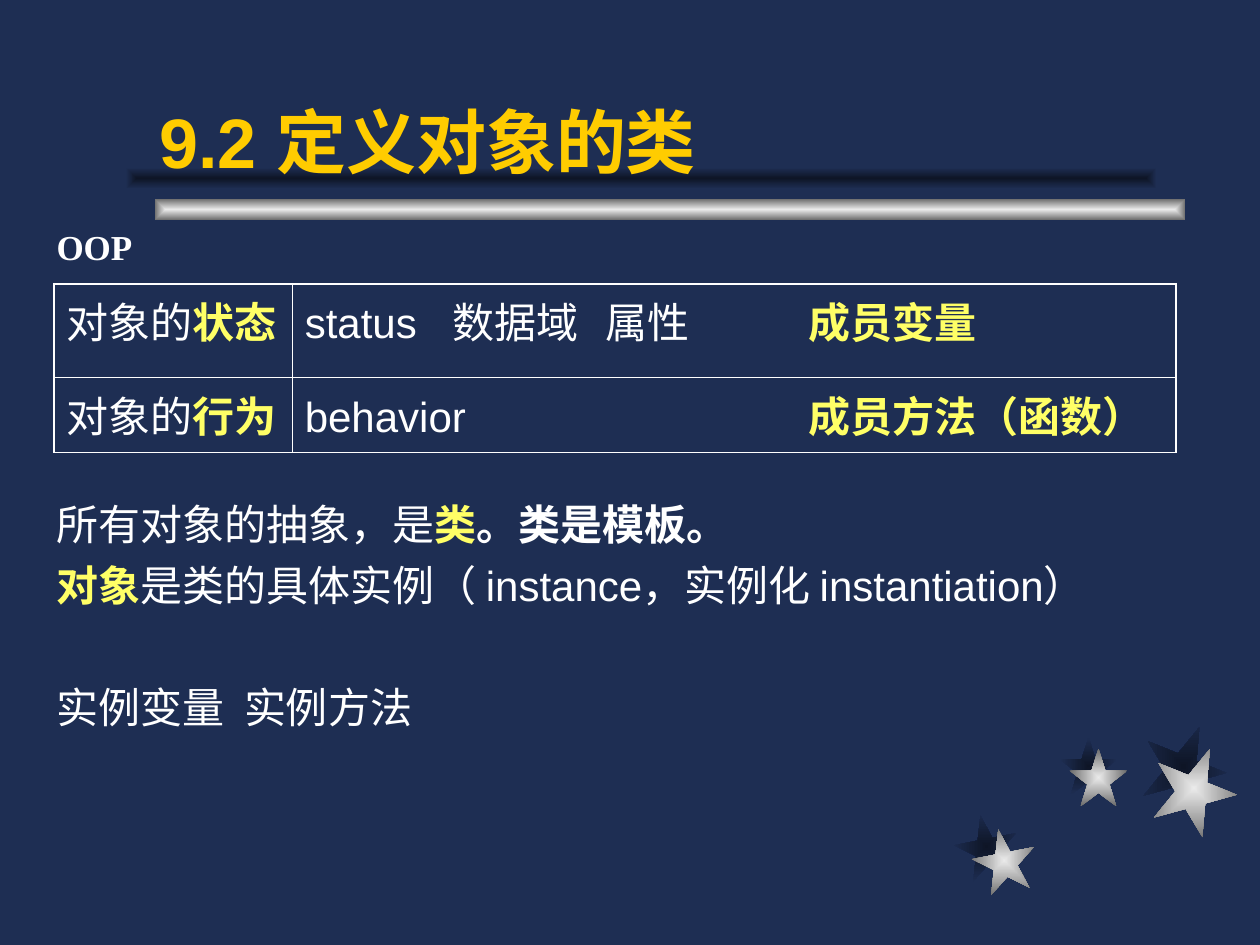
import pptx
import pptx.dml.color
import pptx.enum.shapes
import pptx.enum.text
import pptx.oxml
import pptx.oxml.ns
import pptx.util
from lxml import etree

Cm = pptx.util.Cm
Pt = pptx.util.Pt
SHAPE = pptx.enum.shapes.MSO_SHAPE
ANCHOR = pptx.enum.text.MSO_ANCHOR
qn = pptx.oxml.ns.qn

NAVY, WHITE, GOLD, YELLOW = "1E2E53", "FFFFFF", "FFCC00", "FFFF66"
SHADE = ("0E1526", NAVY)
SILVER = ("EAEAEA", "6C6C6C")

# left, top, size (cm), rotation
SHADOW_STARS = [(19.25, 16.43, 1.27, 349), (21.36, 14.86, 1.17, 0), (23.01, 14.6, 1.7, 22)]
SILVER_STARS = [(19.61, 16.71, 1.27, 349), (21.56, 15.09, 1.17, 0), (23.22, 15.04, 1.7, 22)]
BAR_W, BAR_H = 20.78, 0.43
BARS = [(3.12, 4.01, SILVER), (2.54, 3.38, SHADE)]

# A run is (text, colour, bold)
TITLE = [("9.2 定义对象的类", GOLD, True)]
LABEL = [("OOP", WHITE, True)]
BODY = [
    [("所有对象的抽象，是", WHITE, False), ("类", YELLOW, True), ("。类是模板。", WHITE, True)],
    [("对象", YELLOW, True),
     ("是类的具体实例（ instance，实例化 instantiation）", WHITE, False)],
    [("实例变量\t实例方法", WHITE, False)],
]
BODY_SPACE = [0, 6, 41]
BODY_TABS = [3.78]
ROWS = [
    [[("对象的", WHITE, False), ("状态", YELLOW, True)],
     [("status\t数据域\t属性\t", WHITE, False), ("成员变量", YELLOW, True)]],
    [[("对象的", WHITE, False), ("行为", YELLOW, True)],
     [("behavior\t\t", WHITE, False), ("成员方法（函数）", YELLOW, True)]],
]
CELL_TABS = [2.98, 6.07, 10.16]
COL_W = [4.8, 17.81]
ROW_H = [1.88, 1.52]
OUTER, INNER = 1.08, 0.45


def rgb(color):
    return pptx.dml.color.RGBColor.from_string(color)


def add_glow_shape(shapes, kind, box, colors, rotation=0):
    """Add a borderless shape shaded from its centre to its edge."""
    sp = shapes.add_shape(kind, *map(Cm, box))
    sp.shadow.inherit = False
    sp.rotation = rotation
    sp.line.fill.background()
    sp.fill.gradient()
    for stop, color in zip(sp.fill.gradient_stops, colors):
        stop.color.rgb = rgb(color)
    grad = sp._element.spPr.find(qn("a:gradFill"))
    grad.remove(grad.find(qn("a:lin")))
    centre = etree.SubElement(grad, qn("a:path"))
    centre.set("path", "rect")
    rect = etree.SubElement(centre, qn("a:fillToRect"))
    for side in "ltrb":
        rect.set(side, "50000")


def fill_paragraph(p, runs, size, font="Arial", tabs=(), space=0):
    if tabs:
        tab_list = etree.SubElement(p._p.get_or_add_pPr(), qn("a:tabLst"))
        for pos in tabs:
            tab = etree.SubElement(tab_list, qn("a:tab"))
            tab.set("pos", str(int(Cm(pos))))
            tab.set("algn", "l")
    if space:
        p.space_before = Pt(space)
    for text, color, bold in runs:
        r = p.add_run()
        r.text = text
        r.font.size = Pt(size)
        r.font.name = font
        r.font.bold = bold
        r.font.color.rgb = rgb(color)


def add_text_frame(shapes, box, anchor=ANCHOR.TOP):
    tf = shapes.add_textbox(*map(Cm, box)).text_frame
    tf.word_wrap = True
    tf.vertical_anchor = anchor
    return tf


def set_borders(cell, widths):
    """Draw white cell borders; widths maps lnL, lnR, lnT, lnB to points."""
    props = cell._tc.get_or_add_tcPr()
    for i, (side, width) in enumerate(widths.items()):
        ln = etree.Element(qn("a:" + side))
        ln.set("w", str(int(Pt(width))))
        fill = etree.SubElement(ln, qn("a:solidFill"))
        etree.SubElement(fill, qn("a:srgbClr")).set("val", WHITE)
        props.insert(i, ln)


def add_concept_table(shapes):
    table = shapes.add_table(len(ROWS), len(COL_W), Cm(1.09), Cm(5.72),
                             Cm(sum(COL_W)), Cm(sum(ROW_H))).table
    table.first_row = table.horz_banding = False
    for col, width in zip(table.columns, COL_W):
        col.width = Cm(width)
    for row, height in zip(table.rows, ROW_H):
        row.height = Cm(height)
    last_r, last_c = len(ROWS) - 1, len(COL_W) - 1
    for i, row in enumerate(ROWS):
        for j, runs in enumerate(row):
            cell = table.cell(i, j)
            cell.fill.background()
            cell.margin_top = cell.margin_bottom = Cm(0.13)
            fill_paragraph(cell.text_frame.paragraphs[0], runs, 24,
                           tabs=CELL_TABS if j else ())
            set_borders(cell, {
                "lnL": INNER if j else OUTER,
                "lnR": INNER if j < last_c else OUTER,
                "lnT": INNER if i else OUTER,
                "lnB": INNER if i < last_r else OUTER,
            })


def main():
    prs = pptx.Presentation()
    prs.slide_width, prs.slide_height = Cm(25.4), Cm(19.05)
    s = prs.slides.add_slide(prs.slide_layouts[6])
    s.background.fill.solid()
    s.background.fill.fore_color.rgb = rgb(NAVY)
    shapes = s.shapes

    for stars, colors in ((SHADOW_STARS, SHADE), (SILVER_STARS, SILVER)):
        for left, top, size, rotation in stars:
            add_glow_shape(shapes, SHAPE.STAR_5_POINT, (left, top, size, size),
                           colors, rotation)
    for left, top, colors in BARS:
        add_glow_shape(shapes, SHAPE.RECTANGLE, (left, top, BAR_W, BAR_H), colors)

    tf = add_text_frame(shapes, (0.89, 9.93, 23.9, 5.61))
    for i, (runs, space) in enumerate(zip(BODY, BODY_SPACE)):
        p = tf.add_paragraph() if i else tf.paragraphs[0]
        fill_paragraph(p, runs, 24, tabs=BODY_TABS, space=space)

    tf = add_text_frame(shapes, (2.97, 0.64, 21.39, 3.17), ANCHOR.BOTTOM)
    fill_paragraph(tf.paragraphs[0], TITLE, 40)
    add_concept_table(shapes)
    tf = add_text_frame(shapes, (0.89, 4.42, 3, 1.12))
    fill_paragraph(tf.paragraphs[0], LABEL, 20, "Times New Roman")

    prs.save("out.pptx")


if __name__ == "__main__":
    main()
